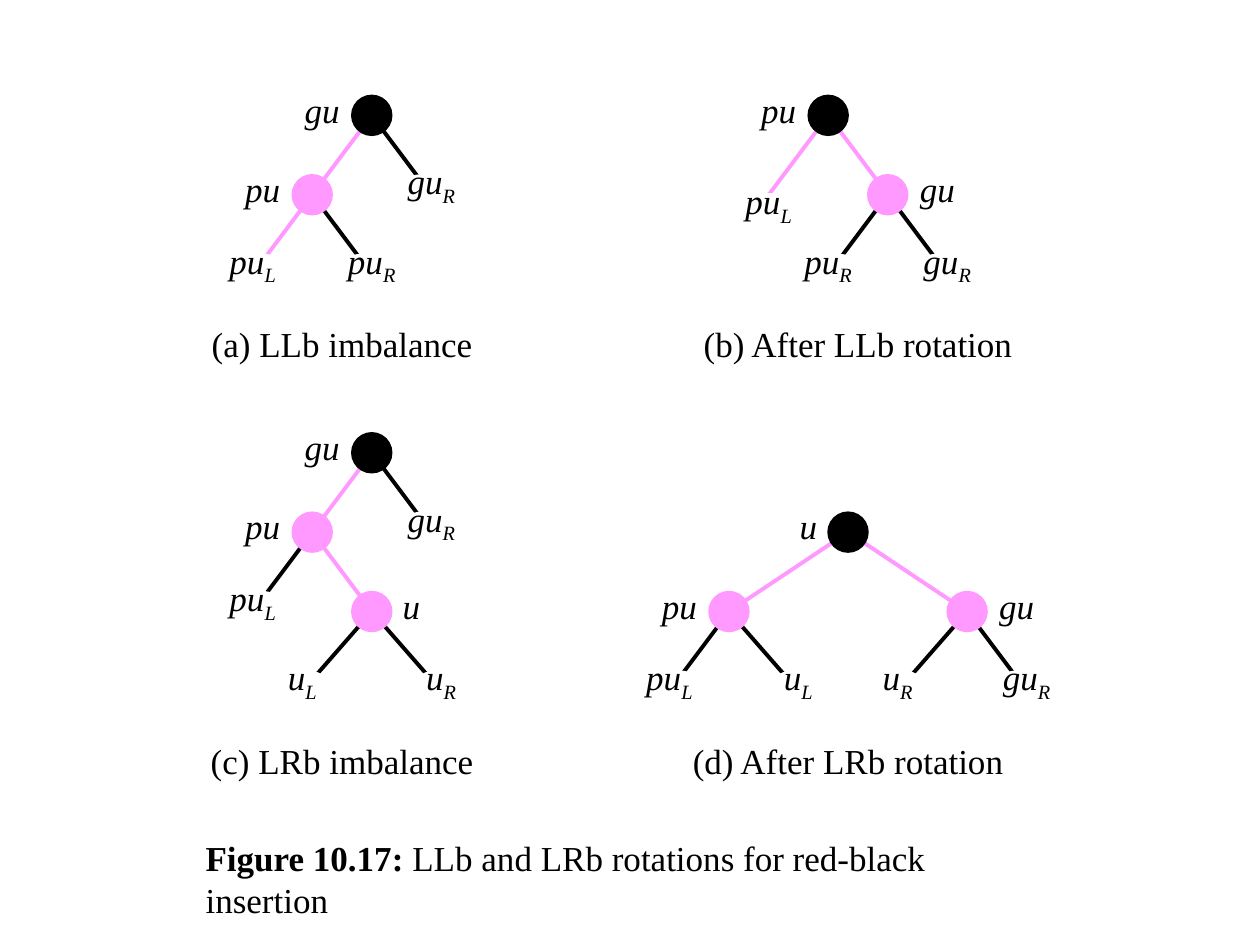
from dataclasses import dataclass
from lxml import etree
from pptx import Presentation
from pptx import util as u
from pptx.dml.color import RGBColor
from pptx.enum import shapes, text
from pptx.oxml import ns


@dataclass(frozen=True)
class Theme:
    black: str = "000000"
    red: str = "FF99FF"
    paper: str = "FFFFFF"
    font: str = "Times New Roman"
    size: float = 20
    edge: float = 2.25
    outline: float = 1
    leaf_outline: float = 1.75


@dataclass(frozen=True)
class Node:
    label: str
    dx: float = 0
    edge: str = "black"
    fill: str = "red"
    side: int = -1
    drop: float = 0
    children: tuple = ()


THEME = Theme()
UNIT = 11.34
LEVEL = 4


def color(name):
    return RGBColor.from_string(getattr(THEME, name))


def write(holder, content, lead="", italic=False, align=text.PP_ALIGN.CENTER,
          anchor=text.MSO_ANCHOR.MIDDLE, insets=(7.2, 3.6, 7.2, 3.6), before=0):
    frame = holder.text_frame
    frame.word_wrap = True
    frame.vertical_anchor = anchor
    (frame.margin_left, frame.margin_top,
     frame.margin_right, frame.margin_bottom) = map(u.Pt, insets)
    line = frame.paragraphs[0]
    line.alignment = align
    line.space_before = u.Pt(before)
    base, _, subscript = content.partition("_")
    for part, bold, offset in ((lead, True, 0), (base, False, 0), (subscript, False, -25000)):
        if not part:
            continue
        run = line.add_run()
        run.text = part
        run.font.name = THEME.font
        run.font.size = u.Pt(THEME.size)
        run.font.bold = bold
        run.font.italic = italic
        run.font.color.rgb = color("black")
        if offset:
            run.font._element.set("baseline", str(offset))


def textbox(slide, box, content, **style):
    write(slide.shapes.add_textbox(*map(u.Pt, box)), content, **style)


def ellipse(slide, x, y, width, fill, outline):
    disc = slide.shapes.add_shape(
        shapes.MSO_SHAPE.OVAL, u.Pt(x - width / 2), u.Pt(y - UNIT), u.Pt(width), u.Pt(2 * UNIT))
    disc.shadow.inherit = False
    disc.fill.solid()
    disc.fill.fore_color.rgb = color(fill)
    disc.line.color.rgb = color(fill)
    disc.line.width = u.Pt(outline)
    return disc


def draw_edge(slide, start, end, shade):
    edge = slide.shapes.add_connector(
        shapes.MSO_CONNECTOR.STRAIGHT, *map(u.Pt, (*start, *end)))
    edge.line.color.rgb = color(shade)
    edge.line.width = u.Pt(THEME.edge)
    etree.SubElement(edge._element.spPr, ns.qn("a:effectLst"))


def draw_leaf(slide, leaf, x, y):
    width = (2 + len(leaf.label.partition("_")[0])) * UNIT
    disc = ellipse(slide, x, y + leaf.drop * UNIT, width, "paper", THEME.leaf_outline)
    write(disc, leaf.label, italic=True, anchor=text.MSO_ANCHOR.BOTTOM, insets=(0, 0, 0, 0.7))


def draw_tree(slide, node, x, y):
    for child in node.children:
        end = (x + child.dx * UNIT, y + LEVEL * UNIT)
        draw_edge(slide, (x, y), end, child.edge)
        draw = draw_tree if child.children else draw_leaf
        draw(slide, child, *end)
    width = (1 + len(node.label)) * UNIT
    left = x + UNIT if node.side > 0 else x - UNIT - width
    textbox(slide, (left, y - UNIT, width, 2 * UNIT), node.label, italic=True,
            anchor=text.MSO_ANCHOR.BOTTOM, insets=(0, 0, 0, 2.9))
    ellipse(slide, x, y, 2 * UNIT, node.fill, THEME.outline)


def draw_panel(slide, box, caption, root, root_x, root_y=1):
    left, top, width, height = box
    draw_tree(slide, root, left + root_x * UNIT, top + root_y * UNIT)
    textbox(slide, (left, top + height - 3 * UNIT, width, 3 * UNIT), caption)


def draw_figure_title(slide, box):
    textbox(slide, box, "LLb and LRb rotations for red-black insertion", lead="Figure 10.17: ",
            align=text.PP_ALIGN.LEFT, anchor=text.MSO_ANCHOR.TOP, before=4)


ll_imbalance = Node("gu", fill="black", children=(
    Node("pu", -3, "red", children=(Node("pu_L", -3, "red"), Node("pu_R", 3))),
    Node("gu_R", 3)))
ll_rotated = Node("pu", fill="black", children=(
    Node("pu_L", -3, "red", drop=1),
    Node("gu", 3, "red", side=1, children=(Node("pu_R", -3), Node("gu_R", 3)))))
lr_imbalance = Node("gu", fill="black", children=(
    Node("pu", -3, "red", children=(
        Node("pu_L", -3),
        Node("u", 3, "red", side=1, children=(Node("u_L", -3.5), Node("u_R", 3.5))))),
    Node("gu_R", 3)))
lr_rotated = Node("u", fill="black", children=(
    Node("pu", -6, "red", children=(Node("pu_L", -3), Node("u_L", 3.5))),
    Node("gu", 6, "red", side=1, children=(Node("u_R", -3.5), Node("gu_R", 3)))))

deck = Presentation()
deck.slide_width, deck.slide_height = u.Pt(720), u.Pt(540)
figure = deck.slides.add_slide(deck.slide_layouts[6])

LEFT, UPPER, LOWER = 110.4, 54.6, 247.4
draw_panel(figure, (LEFT, UPPER, 15 * UNIT, 14 * UNIT), "(a) LLb imbalance", ll_imbalance, 9)
draw_panel(figure, (LEFT + 25 * UNIT, UPPER, 17 * UNIT, 14 * UNIT),
           "(b) After LLb rotation", ll_rotated, 7)
draw_panel(figure, (LEFT, LOWER, 15 * UNIT, 18 * UNIT), "(c) LRb imbalance", lr_imbalance, 9)
draw_panel(figure, (LEFT + 24 * UNIT, LOWER, 18 * UNIT, 18 * UNIT),
           "(d) After LRb rotation", lr_rotated, 9, root_y=5)
draw_figure_title(figure, (LEFT, LOWER + 20 * UNIT, 44 * UNIT, 3 * UNIT))

deck.save("out.pptx")
